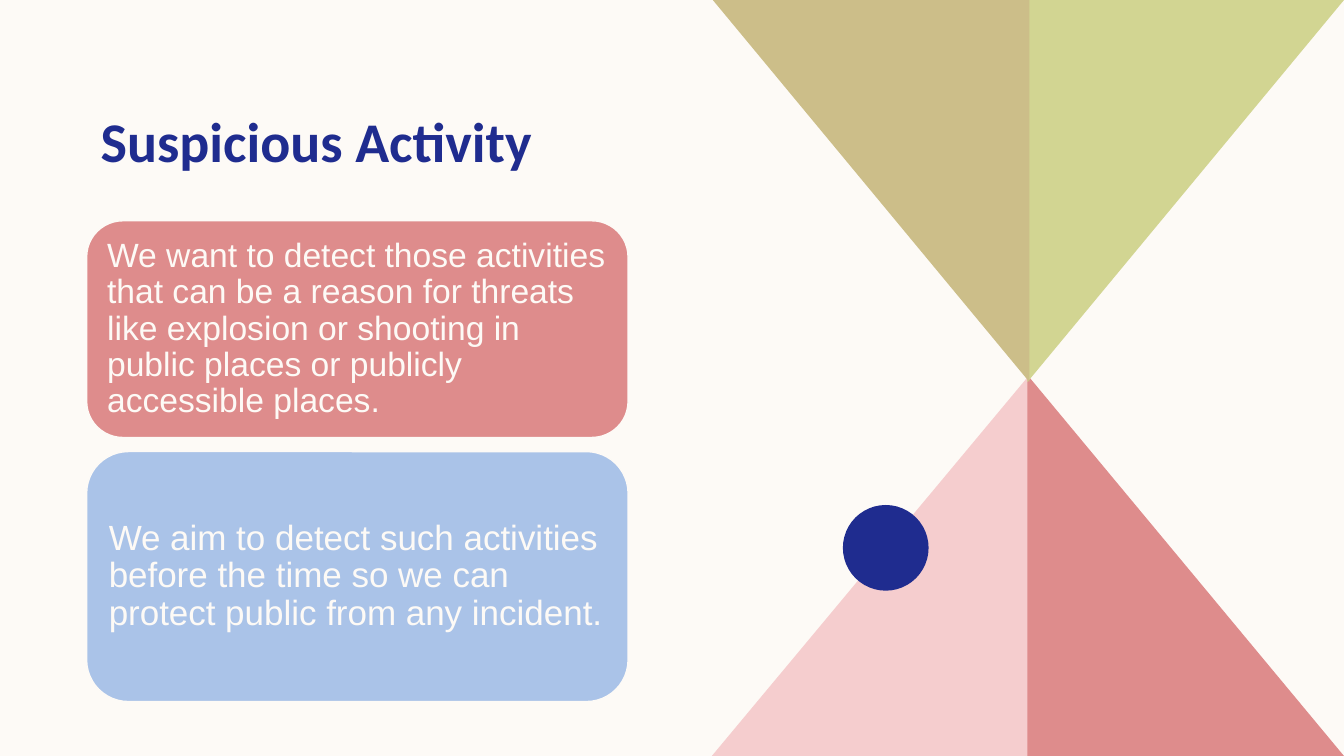
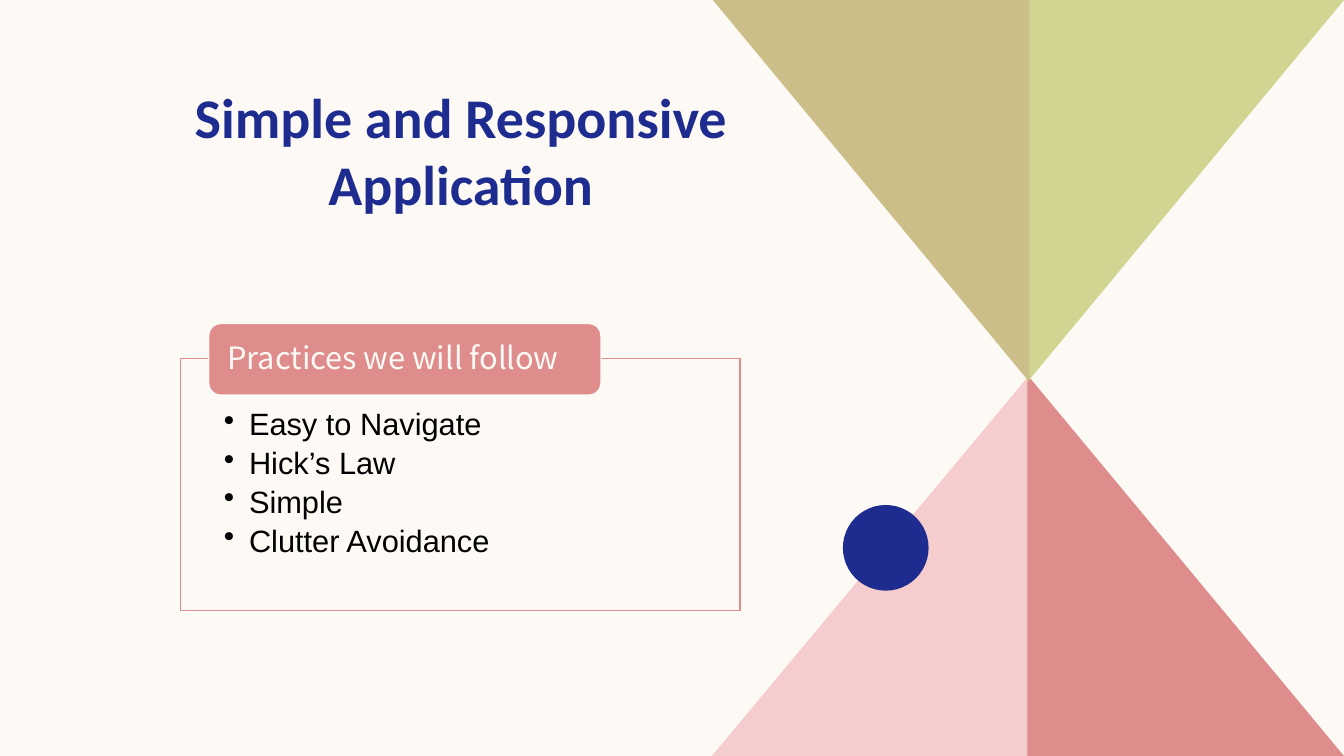
from lxml import etree
from pptx import Presentation
from pptx import util as u
from pptx.dml.color import RGBColor
from pptx.enum import shapes, text
from pptx.oxml import ns

THEME = {
    "colors": {
        "cream": "FDFAF6", "navy": "1F2C8F", "rose": "DE8C8C", "blush": "F5CDCE",
        "lime": "D2D592", "sand": "CCBE89", "sky": "AAC3E8", "black": "000000",
    },
    "fonts": {"title": "Calibri", "body": "Arial", "label": "Noto Sans CJK JP"},
    "sizes": {"title": 40, "card": 24, "card_large": 25, "practice": 22},
}
SLIDE_SIZE = (13.33, 7.5)

TRIANGLES = [
    ("blush", [(10.21, 3.72), (7.06, 7.5), (10.21, 7.5)]),
    ("rose", [(10.19, 3.72), (13.33, 7.5), (10.19, 7.5)]),
    ("lime", [(10.19, 3.79), (13.33, 0), (10.19, 0)]),
    ("sand", [(10.21, 3.79), (7.07, 0), (10.21, 0)]),
]
DOT = (8.36, 5.01, 0.85, 0.85)

ACTIVITY_TITLE = "Suspicious Activity"
ACTIVITY_CARDS = [
    ("We want to detect those activities that can be a reason for threats like "
     "explosion or shooting in public places or publicly accessible places.",
     "rose", "card", 2.15),
    ("We aim to detect such activities before the time so we can protect public "
     "from any incident.", "sky", "card_large", 2.48),
]
CARD_LEFT, CARD_TOP, CARD_WIDTH, CARD_GAP = 0.86, 2.19, 5.37, 0.14

APP_TITLE = "Simple and Responsive Application"
PRACTICES_LABEL = "Practices we will follow"
PRACTICES = ["Easy to Navigate", "Hick’s Law", "Simple", "Clutter Avoidance"]


def color(name):
    return RGBColor.from_string(THEME["colors"][name])


def inches(values):
    return [u.Inches(value) for value in values]


def paint(shape, fill, line=None):
    shape.shadow.inherit = False
    shape.fill.solid()
    shape.fill.fore_color.rgb = color(fill)
    if line:
        shape.line.color.rgb = color(line)
        shape.line.width = u.Pt(1)
    else:
        shape.line.fill.background()


def write(shape, lines, font, size, ink, insets=(0.1, 0.05, 0.1, 0.05),
          anchor=text.MSO_ANCHOR.MIDDLE, align=text.PP_ALIGN.LEFT,
          bold=False, spacing=0.9):
    frame = shape.text_frame
    frame.text = "\n".join(lines)
    frame.word_wrap = True
    frame.vertical_anchor = anchor
    (frame.margin_left, frame.margin_top,
     frame.margin_right, frame.margin_bottom) = inches(insets)
    for paragraph in frame.paragraphs:
        paragraph.alignment = align
        paragraph.line_spacing = spacing
        for run in paragraph.runs:
            run.font.name = THEME["fonts"][font]
            run.font.size = u.Pt(THEME["sizes"][size])
            run.font.color.rgb = color(ink)
            run.font.bold = bold


def add_bullets(shape, indent, space_after):
    for paragraph in shape.text_frame.paragraphs:
        paragraph.level = 1
        paragraph.space_after = u.Pt(space_after)
        properties = paragraph._p.get_or_add_pPr()
        properties.set("marL", str(u.Inches(indent)))
        properties.set("indent", str(-u.Inches(indent)))
        bullet = etree.SubElement(properties, ns.qn("a:buChar"))
        bullet.set("char", "•")


def add_box(slide, kind, box, fill, line=None):
    shape = slide.shapes.add_shape(kind, *inches(box))
    paint(shape, fill, line)
    return shape


def add_themed_slide(deck, title, title_box, align):
    slide = deck.slides.add_slide(deck.slide_layouts[6])
    for fill, corners in TRIANGLES:
        start, *others = [inches(corner) for corner in corners]
        outline = slide.shapes.build_freeform(*start)
        outline.add_line_segments(others, close=True)
        paint(outline.convert_to_shape(), fill)
    add_box(slide, shapes.MSO_SHAPE.OVAL, DOT, "navy")
    heading = slide.shapes.add_textbox(*inches(title_box))
    write(heading, [title], "title", "title", "navy", align=align, bold=True,
          anchor=text.MSO_ANCHOR.TOP, spacing=1.0)
    return slide


def build_activity(deck):
    slide = add_themed_slide(deck, ACTIVITY_TITLE, (0.9, 1.01, 5.55, 0.77),
                             text.PP_ALIGN.LEFT)
    top = CARD_TOP
    for statement, fill, size, height in ACTIVITY_CARDS:
        card = add_box(slide, shapes.MSO_SHAPE.ROUNDED_RECTANGLE,
                       (CARD_LEFT, top, CARD_WIDTH, height), fill, "cream")
        write(card, [statement], "body", size, "cream", insets=[0.1] * 4)
        top += height + CARD_GAP


def build_application(deck):
    slide = add_themed_slide(deck, APP_TITLE, (0.95, 0.77, 7.24, 1.45),
                             text.PP_ALIGN.CENTER)
    panel = add_box(slide, shapes.MSO_SHAPE.RECTANGLE,
                    (1.79, 3.56, 5.55, 2.5), "cream", "rose")
    write(panel, PRACTICES, "body", "practice", "black",
          insets=(0.43, 0.5, 0.43, 0.17), anchor=text.MSO_ANCHOR.TOP)
    add_bullets(panel, 0.25, 4)
    label = add_box(slide, shapes.MSO_SHAPE.ROUNDED_RECTANGLE,
                    (2.07, 3.21, 3.89, 0.71), "rose", "cream")
    write(label, [PRACTICES_LABEL], "label", "practice", "cream",
          insets=(0.15, 0, 0.15, 0))


def main():
    deck = Presentation()
    deck.slide_width, deck.slide_height = inches(SLIDE_SIZE)
    backdrop = deck.slide_master.background.fill
    backdrop.solid()
    backdrop.fore_color.rgb = color("cream")
    build_activity(deck)
    build_application(deck)
    deck.save("out.pptx")


if __name__ == "__main__":
    main()
